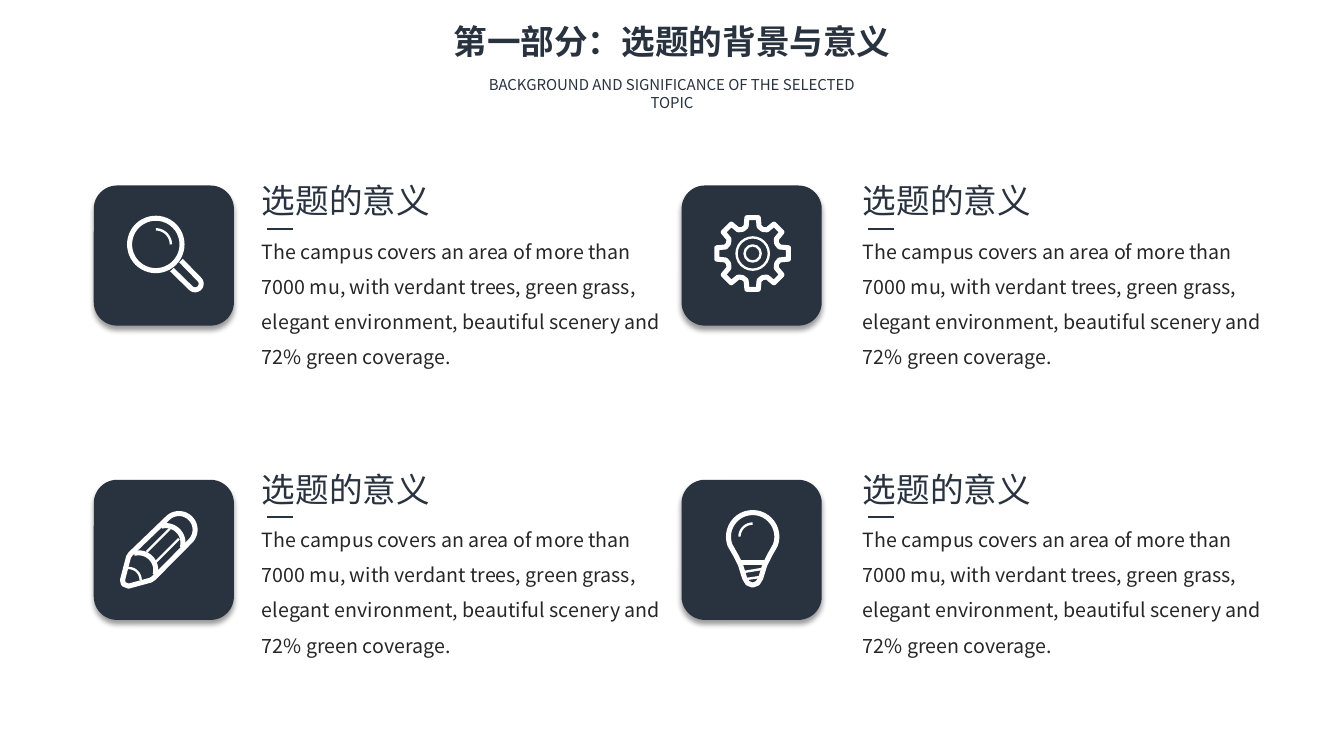
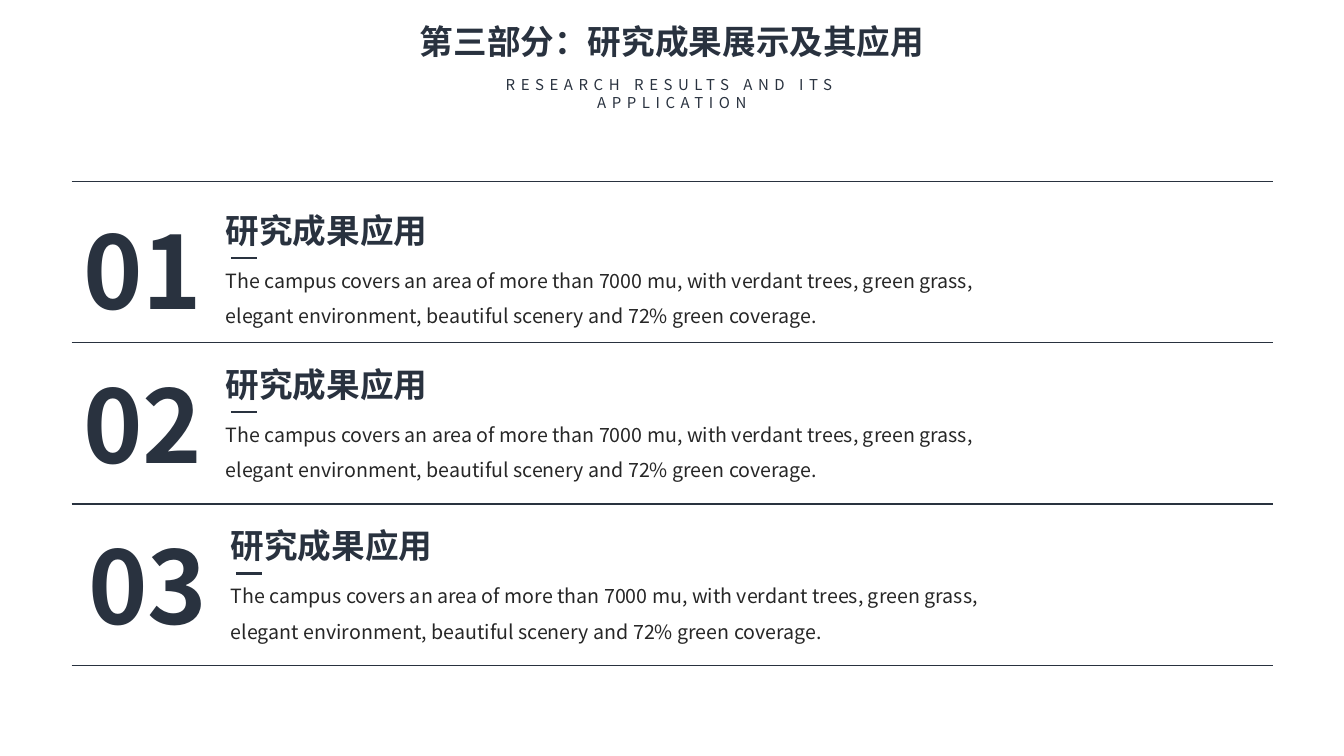
from dataclasses import dataclass
from math import cos, radians, sin

from lxml.etree import SubElement
from pptx import Presentation
from pptx.dml.color import RGBColor
from pptx.enum.shapes import MSO_CONNECTOR as Connector, MSO_SHAPE as Preset
from pptx.enum.text import MSO_ANCHOR as Anchor, MSO_AUTO_SIZE as AutoSize, PP_ALIGN as Align
from pptx.oxml.ns import qn
from pptx.shapes.base import BaseShape
from pptx.slide import Slide
from pptx.util import Inches, Pt

NAVY = RGBColor(0x29, 0x32, 0x3F)
CHARCOAL = RGBColor(0x26, 0x26, 0x26)
WHITE = RGBColor(0xFF, 0xFF, 0xFF)
FONT = "Noto Sans CJK SC"
SLIDE_WIDTH, SLIDE_HEIGHT = 13.33, 7.5
TILE_SIZE = 1.39
THICK, THIN = 3.6, 1.7
BODY = ("The campus covers an area of more than 7000 mu, with verdant trees, green grass, "
        "elegant environment, beautiful scenery and 72% green coverage.")

Point = tuple[float, float]


@dataclass(frozen=True)
class TextStyle:
    """Look of one kind of text."""
    size: float
    color: RGBColor = NAVY
    bold: bool = False
    align: Align = Align.LEFT
    line_spacing: float = 1.0
    tracking: float = 0


@dataclass(frozen=True)
class Stroke:
    """White icon line, relative to the centre of its tile."""
    points: list[Point]
    weight: float = THICK
    closed: bool = False


@dataclass(frozen=True)
class Ring:
    """White icon circle, relative to the centre of its tile."""
    center: Point
    radius: float
    weight: float = THICK


@dataclass(frozen=True)
class Topic:
    """Icon tile with its text position."""
    tile_left: float
    tile_top: float
    text_left: float
    text_top: float
    icon: list[Stroke | Ring]


@dataclass(frozen=True)
class ResultRow:
    """Numbered research result."""
    number: str
    left: float
    top: float


TITLE = TextStyle(24, bold=True, align=Align.CENTER)
NUMBER = TextStyle(72, bold=True, align=Align.CENTER)
BODY_STYLE = TextStyle(14, CHARCOAL, line_spacing=1.5)


def arc(x: float, y: float, radius: float, start: float, end: float) -> list[Point]:
    """Return points along an arc, with angles in degrees clockwise from the right."""
    steps = 24
    angles = [radians(start + (end - start) * step / steps) for step in range(steps + 1)]
    return [(x + radius * cos(angle), y + radius * sin(angle)) for angle in angles]


def gear_outline(x: float, y: float) -> list[Point]:
    """Return the outline of a gear with eight teeth."""
    tooth = [(-21, 0.26), (-13.5, 0.275), (-9, 0.36), (9, 0.36), (13.5, 0.275), (21, 0.26)]
    return [(x + radius * cos(radians(turn + angle)), y + radius * sin(radians(turn + angle)))
            for turn in range(0, 360, 45) for angle, radius in tooth]


MAGNIFIER = [
    Ring((-0.08, -0.11), 0.26),
    Stroke([(0.08, 0.14), *arc(0.31, 0.28, 0.06, 135, -45), (0.17, 0.05)]),
    Stroke(arc(-0.08, -0.11, 0.15, -90, 0), THIN),
]
GEAR = [
    Stroke(gear_outline(0.01, -0.02), closed=True),
    Ring((0.01, -0.02), 0.16, THIN),
    Ring((0.01, -0.02), 0.08, THIN),
]
PENCIL = [
    Stroke([(-0.41, 0.3), (-0.35, 0.07), (-0.33, 0.04), *arc(0.15, -0.2, 0.16, -135, 45),
            (-0.1, 0.28), (-0.13, 0.3), (-0.35, 0.36), (-0.4, 0.34)], closed=True),
    Stroke(arc(0.02, -0.07, 0.17, -105, 15)),
    Stroke(arc(-0.25, 0.2, 0.17, -105, 15)),
    Stroke([(-0.17, 0.02), (0.06, -0.21)], THIN),
    Stroke([(-0.08, 0.12), (0.15, -0.11)], THIN),
    Stroke(arc(-0.35, 0.3, 0.12, -95, 0), THIN),
]
BULB = [
    Stroke([*arc(0.01, -0.13, 0.24, -200, 20), (0.18, 0.05), (0.13, 0.15), (0.09, 0.28),
            (0.06, 0.33), (0.01, 0.35), (-0.04, 0.33), (-0.07, 0.28), (-0.11, 0.15),
            (-0.16, 0.05)], closed=True),
    Stroke([(-0.11, 0.13), (0.13, 0.13)]),
    Stroke([(-0.08, 0.22), (0.1, 0.19)], THIN),
    Stroke([(-0.06, 0.29), (0.08, 0.27)], THIN),
    Stroke(arc(0.01, -0.13, 0.13, -180, -90), THIN),
]
TOPICS = [
    Topic(0.93, 1.84, 2.5, 1.74, MAGNIFIER),
    Topic(6.76, 1.84, 8.46, 1.74, GEAR),
    Topic(0.93, 4.76, 2.5, 4.6, PENCIL),
    Topic(6.76, 4.76, 8.46, 4.6, BULB),
]
RESULTS = [
    ResultRow("01", 0.69, 2.02),
    ResultRow("02", 0.69, 3.55),
    ResultRow("03", 0.74, 5.15),
]


def place(shape: BaseShape, left: float, top: float, width: float, height: float) -> None:
    """Move and size a shape."""
    shape.left, shape.top = Inches(left), Inches(top)
    shape.width, shape.height = Inches(width), Inches(height)


def write(shape: BaseShape, text: str, style: TextStyle) -> None:
    """Write one styled paragraph into a shape."""
    frame = shape.text_frame
    frame.word_wrap = True
    frame.auto_size = AutoSize.NONE
    frame.vertical_anchor = Anchor.TOP
    paragraph = frame.paragraphs[0]
    paragraph.alignment = style.align
    paragraph.line_spacing = style.line_spacing
    run = paragraph.add_run()
    run.text = text
    run.font.name = FONT
    run.font.size = Pt(style.size)
    run.font.bold = style.bold
    run.font.color.rgb = style.color
    properties = run._r.get_or_add_rPr()
    SubElement(properties, qn("a:ea")).set("typeface", FONT)
    if style.tracking:
        properties.set("spc", str(round(style.tracking * 100)))


def add_text(slide: Slide, left: float, top: float, width: float, height: float,
             text: str, style: TextStyle) -> None:
    """Add a text box."""
    box = slide.shapes.add_textbox(Inches(left), Inches(top), Inches(width), Inches(height))
    write(box, text, style)


def add_line(slide: Slide, start: Point, end: Point, weight: float,
             color: RGBColor = NAVY) -> None:
    """Add a straight line without shadow."""
    line = slide.shapes.add_connector(
        Connector.STRAIGHT, Inches(start[0]), Inches(start[1]), Inches(end[0]), Inches(end[1]))
    line.line.color.rgb = color
    line.line.width = Pt(weight)
    SubElement(line._element.spPr, qn("a:effectLst"))


def add_header(slide: Slide, title: str, subtitle: str, width: float,
               tracking: float = 0) -> None:
    """Fill the title and add the centred subtitle below it."""
    place(slide.shapes.title, (SLIDE_WIDTH - 6) / 2, 0.16, 6, 0.5)
    write(slide.shapes.title, title, TITLE)
    style = TextStyle(10.7, align=Align.CENTER, tracking=tracking)
    add_text(slide, (SLIDE_WIDTH - width) / 2, 0.7, width, 0.45, subtitle, style)


def add_text_block(slide: Slide, left: float, top: float, width: float, height: float,
                   heading: str, bold: bool = False) -> None:
    """Add a heading, a short dash and the body text."""
    add_text(slide, left, top, 2.5, 0.5, heading, TextStyle(24, bold=bold))
    add_text(slide, left, top + 0.47, width, height, BODY, BODY_STYLE)
    add_line(slide, (left + 0.15, top + 0.53), (left + 0.41, top + 0.53), 1.5)


def outline_white(shape: BaseShape, weight: float) -> None:
    """Leave only a white outline on a shape."""
    shape.shadow.inherit = False
    shape.fill.background()
    shape.line.color.rgb = WHITE
    shape.line.width = Pt(weight)


def add_icon(slide: Slide, x: float, y: float, icon: list[Stroke | Ring]) -> None:
    """Draw an icon around a centre."""
    for part in icon:
        if isinstance(part, Ring):
            ring = slide.shapes.add_shape(Preset.OVAL, 0, 0, 0, 0)
            place(ring, x + part.center[0] - part.radius, y + part.center[1] - part.radius,
                  2 * part.radius, 2 * part.radius)
            outline_white(ring, part.weight)
            continue
        points = [(x + across, y + down) for across, down in part.points]
        if len(points) == 2:
            add_line(slide, points[0], points[1], part.weight, WHITE)
            continue
        vertices = [(Inches(across), Inches(down)) for across, down in points]
        builder = slide.shapes.build_freeform(*vertices[0])
        builder.add_line_segments(vertices[1:], close=part.closed)
        outline_white(builder.convert_to_shape(), part.weight)


def add_tile(slide: Slide, left: float, top: float) -> None:
    """Add a rounded tile with a soft shadow below."""
    tile = slide.shapes.add_shape(Preset.ROUNDED_RECTANGLE, Inches(left), Inches(top),
                                  Inches(TILE_SIZE), Inches(TILE_SIZE))
    tile.fill.solid()
    tile.fill.fore_color.rgb = NAVY
    tile.line.fill.background()
    tile.shadow.inherit = False
    effects = tile._element.spPr.find(qn("a:effectLst"))
    shadow = SubElement(effects, qn("a:outerShdw"), blurRad=str(Pt(4)), dist=str(Pt(3)),
                        dir="5400000", algn="t", rotWithShape="0")
    color = SubElement(shadow, qn("a:srgbClr"), val="000000")
    SubElement(color, qn("a:alpha"), val="40000")


def add_background_slide(slide: Slide) -> None:
    """Build the slide on background and significance."""
    add_header(slide, "第一部分：选题的背景与意义",
               "BACKGROUND AND SIGNIFICANCE OF THE SELECTED TOPIC", 4.08)
    for topic in TOPICS:
        add_tile(slide, topic.tile_left, topic.tile_top)
        add_text_block(slide, topic.text_left, topic.text_top, 4.27, 1.48, "选题的意义")
        add_icon(slide, topic.tile_left + TILE_SIZE / 2, topic.tile_top + TILE_SIZE / 2,
                 topic.icon)


def add_results_slide(slide: Slide) -> None:
    """Build the slide on research results."""
    add_header(slide, "第三部分：研究成果展示及其应用",
               "RESEARCH RESULTS AND ITS APPLICATION", 4.97, tracking=4)
    for index in range(len(RESULTS) + 1):
        height = 1.8 + 1.6 * index
        add_line(slide, (0.71, height), (12.63, height), 0.75)
    for row in RESULTS:
        add_text(slide, row.left, row.top, 1.45, 1.31, row.number, NUMBER)
        add_text_block(slide, row.left + 1.45, row.top + 0.01, 8.08, 0.77,
                       "研究成果应用", bold=True)


def main() -> None:
    """Build and save the presentation."""
    presentation = Presentation()
    presentation.slide_width = Inches(SLIDE_WIDTH)
    presentation.slide_height = Inches(SLIDE_HEIGHT)
    title_only = presentation.slide_layouts.get_by_name("Title Only")
    for build in (add_background_slide, add_results_slide):
        build(presentation.slides.add_slide(title_only))
    presentation.save("out.pptx")


if __name__ == "__main__":
    main()
